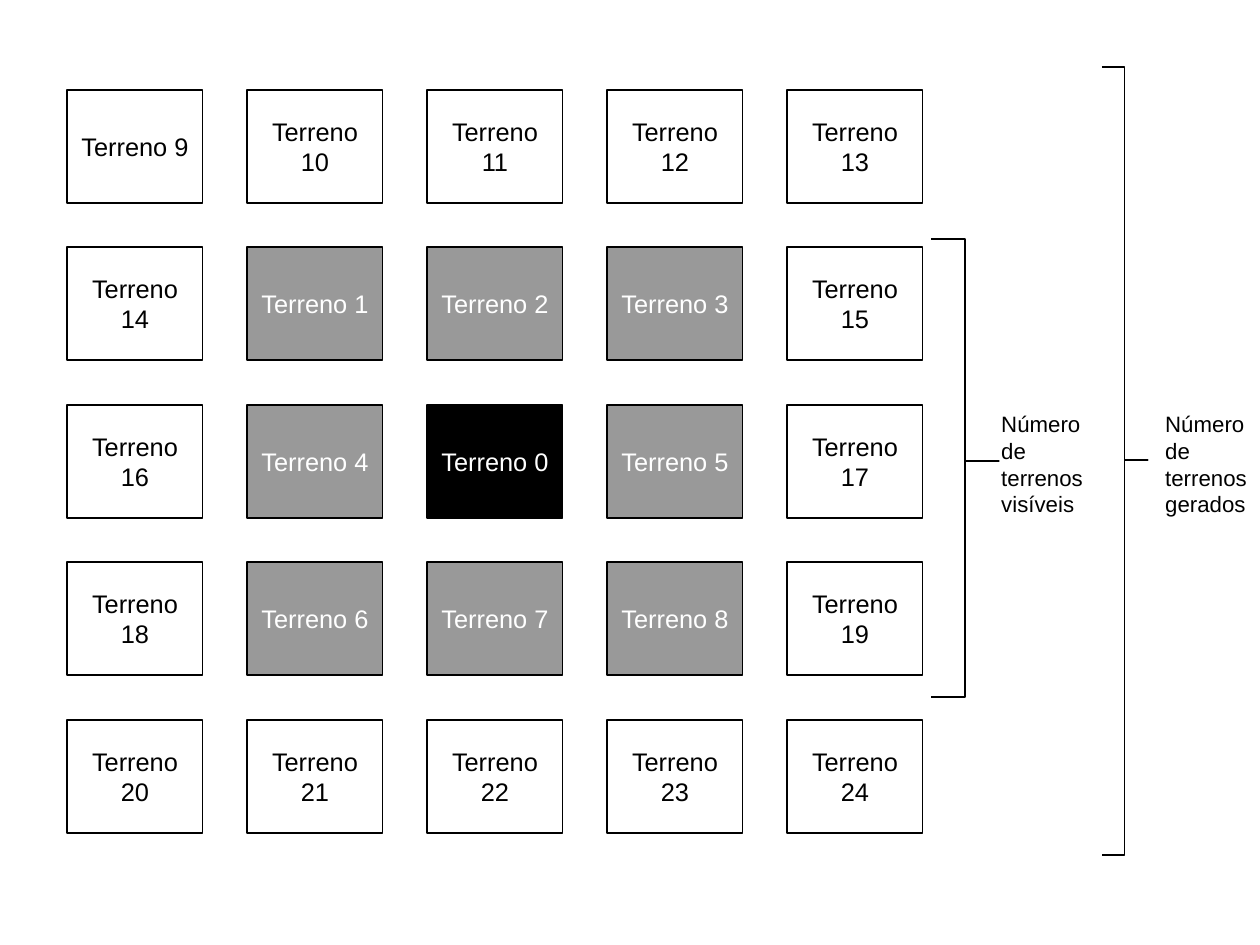
from pptx import Presentation
from pptx.dml.color import RGBColor
from pptx.enum.shapes import MSO_SHAPE
from pptx.enum.text import MSO_ANCHOR, PP_ALIGN
from pptx.util import Emu, Pt

EMU_PER_PX = 8000
COLORS = {"black": "000000", "gray": "999999", "white": "FFFFFF"}
TERRAIN_GRID = [
    [9, 10, 11, 12, 13],
    [14, 1, 2, 3, 15],
    [16, 4, 0, 5, 17],
    [18, 6, 7, 8, 19],
    [20, 21, 22, 23, 24],
]
LAST_VISIBLE = 8


def px(length):
    return Emu(length * EMU_PER_PX)


def color(name):
    return RGBColor.from_string(COLORS[name])


def style_font(para, size, color_name):
    para.font.name = "Arial"
    para.font.size = Pt(size)
    para.font.color.rgb = color(color_name)


def style_outline(shape):
    shape.shadow.inherit = False
    shape.line.color.rgb = color("black")
    shape.line.width = Pt(0)


def terrain_colors(number):
    if number == 0:
        return "black", "white"
    if number <= LAST_VISIBLE:
        return "gray", "white"
    return "white", "black"


def add_terrain(page, number, left, top):
    fill_name, text_name = terrain_colors(number)
    box = page.shapes.add_shape(MSO_SHAPE.RECTANGLE, px(left), px(top), px(136), px(113))
    box.name = f"Terreno {number}"
    box.fill.solid()
    box.fill.fore_color.rgb = color(fill_name)
    style_outline(box)
    frame = box.text_frame
    frame.word_wrap = True
    frame.vertical_anchor = MSO_ANCHOR.MIDDLE
    para = frame.paragraphs[0]
    para.text = f"Terreno {number}"
    para.alignment = PP_ALIGN.CENTER
    style_font(para, 16, text_name)


def add_bracket(page, left, top, spine, tip, middle, bottom):
    outline = page.shapes.build_freeform(left, top, scale=EMU_PER_PX)
    outline.add_line_segments(
        [(spine, top), (spine, middle), (tip, middle), (spine, middle), (spine, bottom), (left, bottom)],
        close=False,
    )
    bracket = outline.convert_to_shape()
    bracket.fill.background()
    style_outline(bracket)


def add_label(page, lines, left, top, width, height):
    box = page.shapes.add_textbox(px(left), px(top), px(width), px(height))
    frame = box.text_frame
    frame.word_wrap = True
    frame.text = "\n".join(lines)
    for para in frame.paragraphs:
        style_font(para, 14, "black")


def main():
    deck = Presentation()
    deck.slide_width, deck.slide_height = px(1260), px(945)
    page = deck.slides.add_slide(deck.slide_layouts[6])

    for row, numbers in enumerate(TERRAIN_GRID):
        for column, number in enumerate(numbers):
            add_terrain(page, number, 67 + 180 * column, 90 + 315 * row // 2)

    add_bracket(page, left=931, top=239, spine=965, tip=999, middle=461, bottom=697)
    add_bracket(page, left=1102, top=67, spine=1125, tip=1148, middle=460, bottom=855)
    add_label(page, ["Número", "de terrenos visíveis"], 990, 405, 134, 111)
    add_label(page, ["Número", "de terrenos gerados"], 1154, 405, 128, 158)

    deck.save("out.pptx")


if __name__ == "__main__":
    main()
